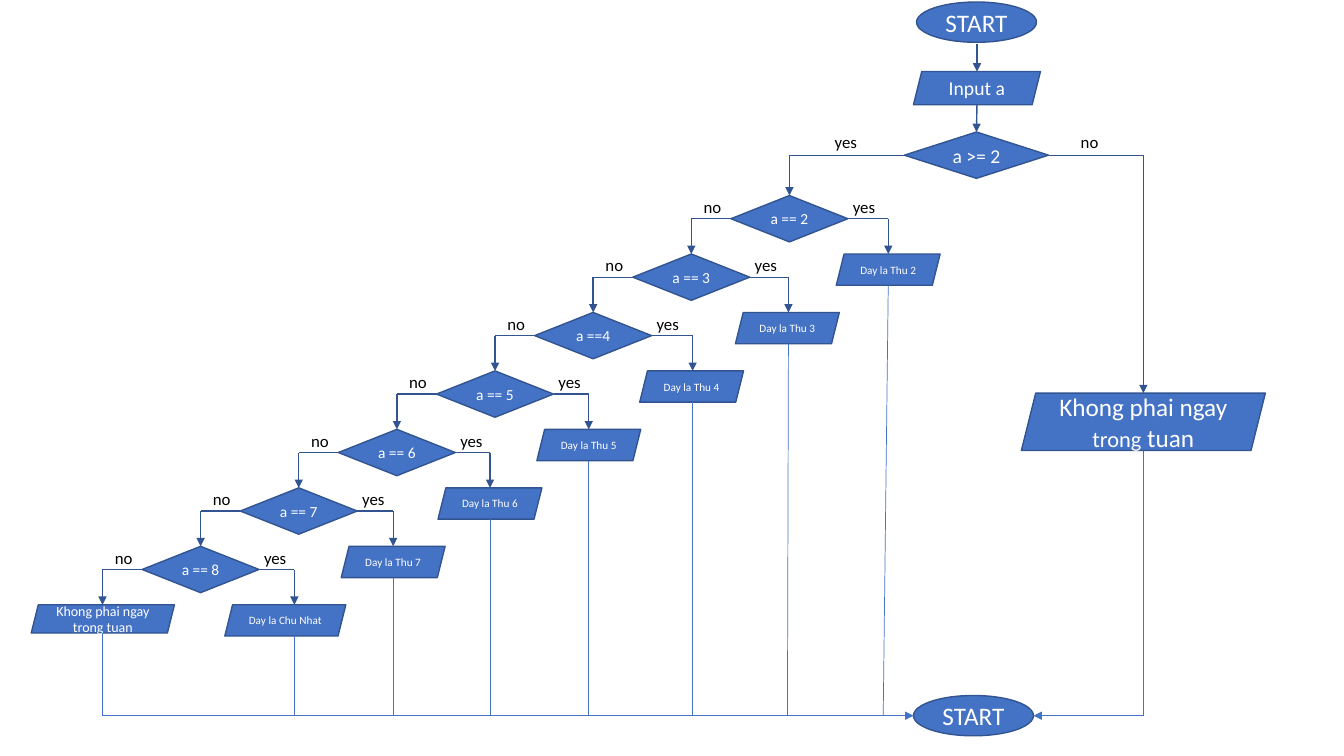
from lxml import etree
from pptx import Presentation
from pptx.dml.color import RGBColor
from pptx.enum.shapes import MSO_CONNECTOR as CONNECTOR, MSO_SHAPE as SHAPE
from pptx.enum.text import MSO_ANCHOR as ANCHOR, PP_ALIGN as ALIGN
from pptx.oxml.ns import qn
from pptx.util import Inches, Pt

TOP, LEFT, RIGHT = 0, 1, 3  # connection sites of a diamond


def color(hex_string):
    return RGBColor.from_string(hex_string)


class Flowchart:
    FONT = "Calibri"
    FILL, OUTLINE = "4472C4", "325491"
    LIGHT, DARK = "FFFFFF", "000000"

    def __init__(self, slide):
        self.slide = slide

    def node(self, kind, left, top, width, height, runs, size):
        """Add a filled shape; runs is a text or a list of (text, size)."""
        shape = self.slide.shapes.add_shape(
            kind, Inches(left), Inches(top), Inches(width), Inches(height))
        shape.shadow.inherit = False
        shape.fill.solid()
        shape.fill.fore_color.rgb = color(self.FILL)
        shape.line.color.rgb = color(self.OUTLINE)
        shape.line.width = Pt(1)
        shape.text_frame.vertical_anchor = ANCHOR.MIDDLE
        paragraph = shape.text_frame.paragraphs[0]
        paragraph.alignment = ALIGN.CENTER
        self.style(paragraph, size, self.LIGHT)
        if isinstance(runs, str):
            runs = [(runs, size)]
        for text, run_size in runs:
            run = paragraph.add_run()
            run.text = text
            if run_size != size:
                run.font.size = Pt(run_size)
        return shape

    def style(self, paragraph, size, text_color):
        paragraph.font.name = self.FONT
        paragraph.font.size = Pt(size)
        paragraph.font.color.rgb = color(text_color)

    def label(self, text, left, top):
        box = self.slide.shapes.add_textbox(
            Inches(left), Inches(top), Inches(0.48), Inches(0.3))
        box.text_frame.word_wrap = True
        paragraph = box.text_frame.paragraphs[0]
        paragraph.text = text
        self.style(paragraph, 12, self.DARK)

    def line(self, start, end, arrow=False, thin=False, begin=None, finish=None):
        """Add a line; begin and finish are (shape, site) pairs to join."""
        connector = self.slide.shapes.add_connector(
            CONNECTOR.STRAIGHT, *(Inches(value) for value in (*start, *end)))
        connector.line.color.rgb = color(self.FILL if thin else self.OUTLINE)
        connector.line.width = Pt(0.5 if thin else 1)
        if begin:
            connector.begin_connect(*begin)
        if finish:
            connector.end_connect(*finish)
        if arrow:
            etree.SubElement(connector.line._get_or_add_ln(), qn("a:tailEnd"),
                             type="triangle")
        etree.SubElement(connector._element.spPr, qn("a:effectLst"))


def build(chart):
    end_y = 7.1

    # Start, input and range check
    main_x, check_y = 9.69, 1.54
    chart.node(SHAPE.OVAL, 9.09, 0.02, 1.19, 0.4, "START", 18)
    chart.line((main_x, 0.44), (main_x, 0.71), arrow=True)
    chart.node(SHAPE.PARALLELOGRAM, 9.06, 0.71, 1.26, 0.33, "Input a", 14)
    check = chart.node(SHAPE.DIAMOND, 8.97, 1.31, 1.43, 0.46, "a >= 2", 14)
    chart.line((main_x, 1.03), (main_x, 1.31), arrow=True, finish=(check, TOP))
    chart.label("yes", 8.18, 1.26)
    chart.label("no", 10.62, 1.26)

    # Out-of-range branch on the right
    no_x = 11.34
    chart.line((10.4, check_y), (no_x, check_y), begin=(check, RIGHT))
    chart.line((no_x, check_y), (no_x, 3.9), arrow=True)
    chart.line((no_x, 4.47), (no_x, end_y), thin=True)
    chart.node(SHAPE.PARALLELOGRAM, 10.13, 3.9, 2.42, 0.57,
               [("Khong phai ngay ", 18), ("trong", 16), (" tuan", 18)], 18)

    # Staircase: question, answer, answer width, box centre, drop top x, drop end x
    days = [
        ("a == 2", "Day la Thu 2", 1.03, 8.81, 8.81, 8.76),
        ("a == 3", "Day la Thu 3", 1.03, 7.81, 7.82, 7.81),
        ("a ==4", "Day la Thu 4", 1.03, 6.86, 6.87, 6.87),
        ("a == 5", "Day la Thu 5", 1.03, 5.84, 5.84, 5.84),
        ("a == 6", "Day la Thu 6", 1.03, 4.86, 4.86, 4.86),
        ("a == 7", "Day la Thu 7", 1.03, 3.9, 3.9, 3.9),
        ("a == 8", "Day la Chu Nhat", 1.2, 2.83, 2.92, 2.92),
    ]
    width, height, box_height = 1.16, 0.46, 0.31
    step_x, step_y = (7.25 - 1.41) / 6, 0.58
    corner = (7.25 + width / 2, check_y)
    chart.line((8.97, check_y), corner, begin=(check, LEFT))

    for index, (question, answer, box_width, box_x, drop_x, end_x) in enumerate(days):
        left, top = 7.25 - index * step_x, 1.94 + index * step_y
        center_x, middle_y, box_top = left + width / 2, top + height / 2, top + step_y
        diamond = chart.node(SHAPE.DIAMOND, left, top, width, height, question, 11)
        chart.line(corner, (center_x, top), arrow=True, finish=(diamond, TOP))

        # Yes: the day is named, then the flow drops to the end
        chart.line((left + width, middle_y), (drop_x, middle_y), begin=(diamond, RIGHT))
        chart.line((drop_x, middle_y), (drop_x, box_top), arrow=True)
        chart.node(SHAPE.PARALLELOGRAM, box_x - box_width / 2, box_top,
                   box_width, box_height, answer, 8)
        chart.line((drop_x, box_top + box_height), (end_x, end_y), thin=True)
        chart.label("yes", left + 1.11, top - 0.04)

        # No: on to the next question
        corner = (center_x - step_x, middle_y)
        chart.line((left, middle_y), corner, begin=(diamond, LEFT))
        chart.label("no", left - 0.37, top - 0.04)

    # No day matched
    last_x = corner[0]
    chart.line(corner, (last_x, 6), arrow=True)
    chart.node(SHAPE.PARALLELOGRAM, 0.31, 6, 1.42, 0.28,
               "Khong phai ngay trong tuan", 10)
    chart.line((last_x, 6.28), (last_x, end_y), thin=True)

    # All branches meet at the end
    chart.line((last_x, end_y), (9.06, end_y), arrow=True, thin=True)
    chart.node(SHAPE.OVAL, 9.06, 6.9, 1.19, 0.4, "START", 18)
    chart.line((no_x, end_y), (10.25, end_y), arrow=True, thin=True)


def main():
    presentation = Presentation()
    presentation.slide_width = Inches(13.33)
    presentation.slide_height = Inches(7.5)
    slide = presentation.slides.add_slide(presentation.slide_layouts[6])
    build(Flowchart(slide))
    presentation.save("out.pptx")


if __name__ == "__main__":
    main()
